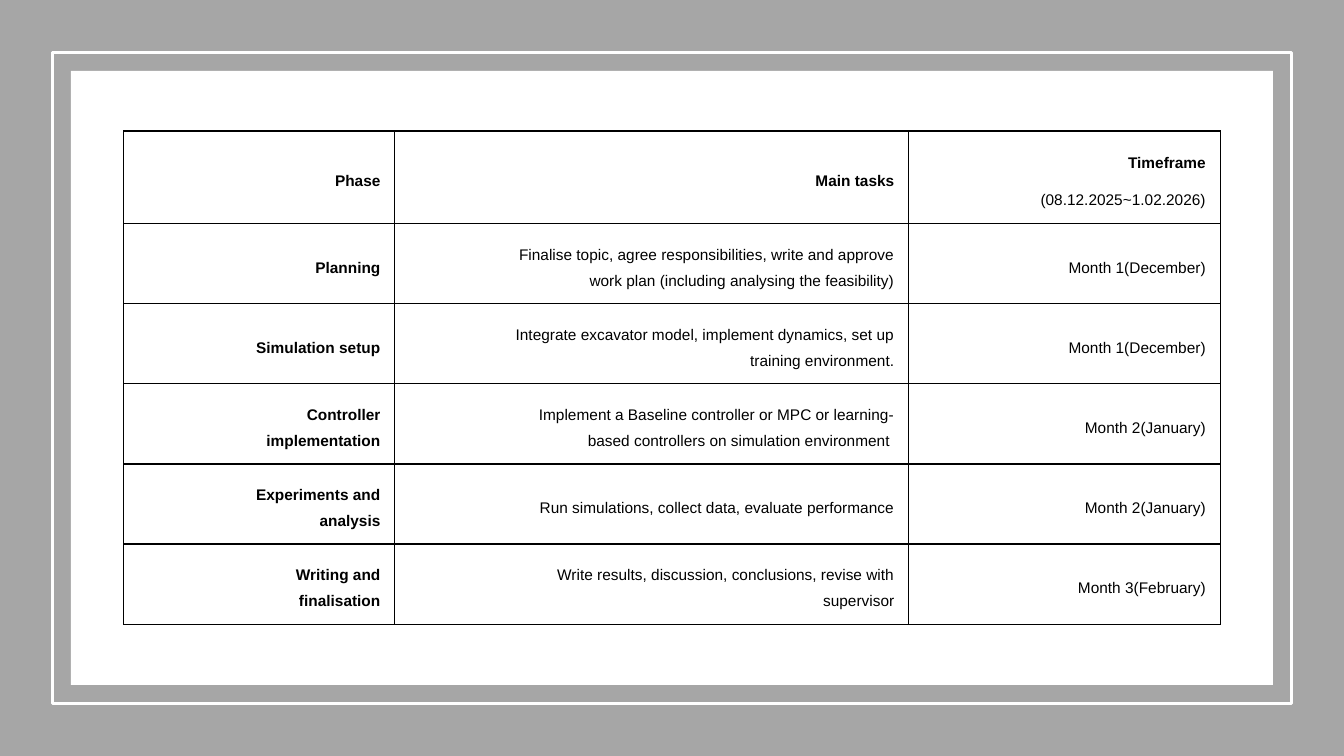
from lxml.etree import SubElement
from pptx import Presentation
from pptx.dml.color import RGBColor
from pptx.enum.shapes import MSO_SHAPE
from pptx.enum.text import MSO_ANCHOR, PP_ALIGN
from pptx.oxml.ns import qn
from pptx.util import Cm, Pt

HEADINGS = [["Phase"], ["Main tasks"], ["Timeframe", "(08.12.2025~1.02.2026)"]]
PHASES = [
    ("Planning",
     "Finalise topic, agree responsibilities, write and approve work plan (including analysing the feasibility)",
     "Month 1(December)"),
    ("Simulation setup",
     "Integrate excavator model, implement dynamics, set up training environment.",
     "Month 1(December)"),
    ("Controller implementation",
     "Implement a Baseline controller or MPC or learning-based controllers on simulation environment ",
     "Month 2(January)"),
    ("Experiments and analysis",
     "Run simulations, collect data, evaluate performance",
     "Month 2(January)"),
    ("Writing and finalisation",
     "Write results, discussion, conclusions, revise with supervisor",
     "Month 3(February)"),
]
COLORS = {"backdrop": "A6A6A6", "panel": "FFFFFF", "frame": "FFFFFF", "text": "000000", "border": "000000"}
SLIDE_WIDTH, SLIDE_HEIGHT = 33.87, 19.05
FRAME_MARGIN, PANEL_MARGIN = 1.33, 1.79
TABLE_LEFT, TABLE_TOP = 3.12, 3.3
COLUMN_WIDTHS = [6.83, 12.95, 7.85]
HEADING_HEIGHT, PHASE_HEIGHT = 2.33, 2.02


def color(name):
    return RGBColor.from_string(COLORS[name])


def add_rectangle(slide, margin, fill=None, line=None):
    shape = slide.shapes.add_shape(
        MSO_SHAPE.RECTANGLE, Cm(margin), Cm(margin),
        Cm(SLIDE_WIDTH - 2 * margin), Cm(SLIDE_HEIGHT - 2 * margin))
    shape.shadow.inherit = False
    if fill:
        shape.fill.solid()
        shape.fill.fore_color.rgb = color(fill)
    else:
        shape.fill.background()
    if line:
        shape.line.color.rgb = color(line)
        shape.line.width = Pt(2)
    else:
        shape.line.fill.background()


def add_borders(cell):
    properties = cell._tc.get_or_add_tcPr()
    for side in ("a:lnL", "a:lnR", "a:lnT", "a:lnB"):
        border = SubElement(properties, qn(side), w=str(Pt(0.96)))
        fill = SubElement(border, qn("a:solidFill"))
        SubElement(fill, qn("a:srgbClr"), val=COLORS["border"])


def fill_cell(cell, lines, bold):
    add_borders(cell)
    cell.fill.background()
    cell.vertical_anchor = MSO_ANCHOR.MIDDLE
    cell.margin_left = cell.margin_right = Cm(0.36)
    cell.margin_top = cell.margin_bottom = Cm(0.13)
    for index, line in enumerate(lines):
        paragraph = cell.text_frame.paragraphs[0] if index == 0 else cell.text_frame.add_paragraph()
        paragraph.alignment = PP_ALIGN.RIGHT
        paragraph.line_spacing = 1.5
        paragraph.space_after = Pt(8)
        properties = paragraph._p.get_or_add_pPr()
        properties.set("marL", str(Cm(2.31)))
        properties.set("indent", "0")
        run = paragraph.add_run()
        run.text = line
        run.font.name = "Arial"
        run.font.size = Pt(11)
        run.font.bold = bold and index == 0
        run.font.color.rgb = color("text")


def add_schedule(slide):
    rows = [HEADINGS] + [[[text] for text in phase] for phase in PHASES]
    heights = [HEADING_HEIGHT] + [PHASE_HEIGHT] * len(PHASES)
    table = slide.shapes.add_table(
        len(rows), len(COLUMN_WIDTHS), Cm(TABLE_LEFT), Cm(TABLE_TOP),
        Cm(sum(COLUMN_WIDTHS)), Cm(sum(heights))).table
    table.first_row = table.horz_banding = False
    for column, width in zip(table.columns, COLUMN_WIDTHS):
        column.width = Cm(width)
    for row_index, (row, height) in enumerate(zip(rows, heights)):
        table.rows[row_index].height = Cm(height)
        for column_index, lines in enumerate(row):
            fill_cell(table.cell(row_index, column_index), lines, row_index == 0 or column_index == 0)


def main():
    presentation = Presentation()
    presentation.slide_width = Cm(SLIDE_WIDTH)
    presentation.slide_height = Cm(SLIDE_HEIGHT)
    slide = presentation.slides.add_slide(presentation.slide_layouts[6])
    add_rectangle(slide, 0, fill="backdrop")
    add_rectangle(slide, FRAME_MARGIN, line="frame")
    add_rectangle(slide, PANEL_MARGIN, fill="panel")
    add_schedule(slide)
    presentation.save("out.pptx")


if __name__ == "__main__":
    main()
